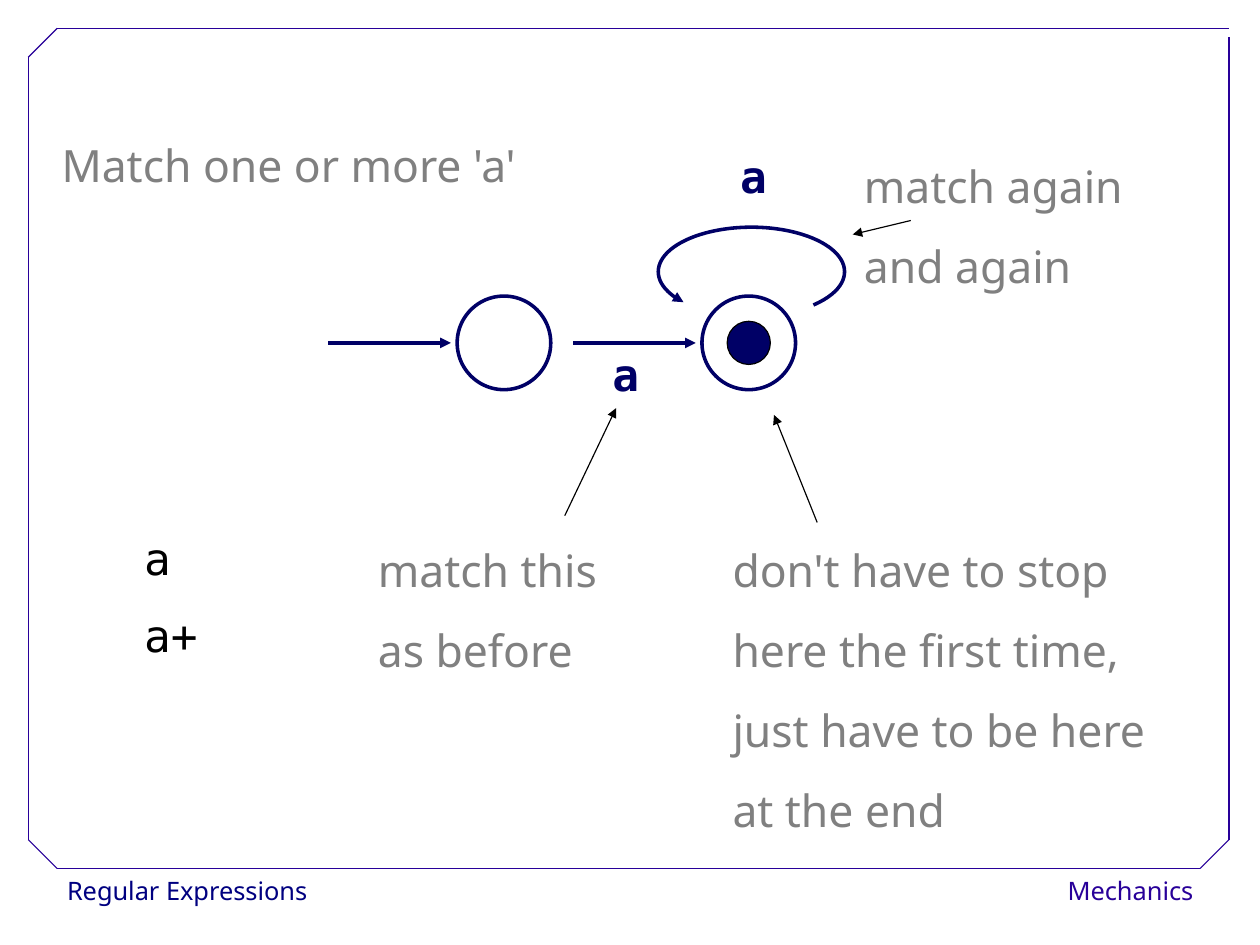
from lxml import etree
from pptx import Presentation
from pptx.dml.color import RGBColor
from pptx.enum import shapes as sh, text as tx
from pptx.oxml import ns
from pptx.util import Cm, Pt

SANS, MONO = "Noto Sans", "DejaVu Sans Mono"
NAVY, GREY, BLACK, WHITE = "000066", "808080", "000000", "FFFFFF"
VIOLET = "280099"


def paint(target, color):
    """Give a fill or a line's fill one solid colour."""
    target.solid()
    target.fore_color.rgb = RGBColor.from_string(color)


def style(para, size, face, color, gap, bold=False):
    para.line_spacing = gap
    font = para.font
    font.size, font.name, font.bold = Pt(size), face, bold
    font.color.rgb = RGBColor.from_string(color)


def write(slide, box, rows, size, face, color, gap, bold=False, right=False):
    """Add a text box with one paragraph per row."""
    label = slide.shapes.add_textbox(*map(Cm, box))
    frame = label.text_frame
    frame.word_wrap = True
    frame.text = "\n".join(rows)
    for para in frame.paragraphs:
        para.alignment = tx.PP_ALIGN.RIGHT if right else tx.PP_ALIGN.LEFT
        style(para, size, face, color, gap, bold)
    return label


def note(slide, box, *rows):
    write(slide, box, rows, 28, SANS, GREY, 1.5)


def mark(slide, left, top):
    """Label a transition with the letter it matches."""
    write(slide, (left, top, 1.09, 1.37), ["a"], 28, MONO, NAVY, 0.93, bold=True)


def footer(slide, left, width, words, color, right=False):
    box = write(slide, (left, 19.3, width, 1.02), [words], 16, SANS, color,
                1.02, right=right)
    paint(box.fill, WHITE)


def tip(shape, end):
    """Put a triangle on the headEnd or the tailEnd of a line."""
    line = shape.line._get_or_add_ln()
    etree.SubElement(line, ns.qn("a:" + end), type="triangle")


def link(slide, start, stop, color, width=0.75, arrow=True):
    line = slide.shapes.add_connector(
        sh.MSO_CONNECTOR.STRAIGHT, *map(Cm, start + stop))
    paint(line.line.fill, color)
    line.line.width = Pt(width)
    if arrow:
        tip(line, "tailEnd")
    etree.SubElement(line._element.spPr, ns.qn("a:effectLst"))


def outline(slide, kind, box, color, width):
    """Add an unfilled preset shape."""
    shape = slide.shapes.add_shape(kind, *map(Cm, box))
    shape.shadow.inherit = False
    shape.fill.background()
    paint(shape.line.fill, color)
    shape.line.width = Pt(width)
    return shape


def disc(slide, x, y, r, color=NAVY, width=2.25):
    box = (x - r, y - r, 2 * r, 2 * r)
    return outline(slide, sh.MSO_SHAPE.OVAL, box, color, width)


def loop(slide, box, start, stop):
    """Draw an arc between two angles in degrees, with its tip at the start."""
    arc = outline(slide, sh.MSO_SHAPE.ARC, box, NAVY, 2.25)
    for i, angle in enumerate((start, stop)):
        arc.adjustments[i] = angle * 0.6
    tip(arc, "headEnd")


def border(slide):
    left, right, top, low, cut = 0.63, 27.31, 0.63, 19.3, 0.64
    edges = [
        ((left + cut, low), (right - cut, low)),
        ((left, low - cut), (left, top + cut)),
        ((left + cut, top), (right, top)),
        ((right, low - cut), (right, 0.82)),
        ((left, top + cut), (left + cut, top)),
        ((right - cut, low), (right, low - cut)),
        ((left, low - cut), (left + cut, low)),
    ]
    for start, stop in edges:
        link(slide, start, stop, VIOLET, arrow=False)


def table(slide, box, rows):
    grid = slide.shapes.add_table(len(rows), 1, *map(Cm, box)).table
    grid.first_row = grid.horz_banding = False
    for i, words in enumerate(rows):
        cell = grid.cell(i, 0)
        cell.fill.background()
        cell.text = words
        para = cell.text_frame.paragraphs[0]
        para.space_after = Pt(14.2)
        style(para, 28, MONO, BLACK, 0.93)


def machine(slide):
    """Draw the states and the transitions between them."""
    first, last, mid = 11.2, 16.64, 7.62
    for x in (first, last):
        disc(slide, x, mid, 1.04)
        link(slide, (x - 3.9, mid), (x - 1.18, mid), NAVY, 2.25)
    dot = disc(slide, last, mid, 0.48, BLACK, 0.75)
    paint(dot.fill, NAVY)
    loop(slide, (14.63, 5.05, 4.14, 1.98), 155.8, 28.2)
    mark(slide, 13.36, 7.7)
    mark(slide, 16.2, 3.3)


def main():
    deck = Presentation()
    deck.slide_width, deck.slide_height = Cm(28), Cm(21)
    slide = deck.slides.add_slide(deck.slide_layouts[6])
    footer(slide, 1.24, 6.5, "Regular Expressions", "000080")
    footer(slide, 22.77, 4, "Mechanics", VIOLET, right=True)
    border(slide)
    machine(slide)
    note(slide, (1.12, 2.34, 13.2, 2.03), "Match one or more 'a'")
    note(slide, (16.03, 11.35, 11.9, 7.37), "don't have to stop",
         "here the first time,", "just have to be here", "at the end")
    note(slide, (8.15, 11.35, 7.9, 3.81), "match this", "as before")
    note(slide, (18.95, 2.82, 8.79, 3.81), "match again", "and again")
    link(slide, (18.16, 11.61), (17.2, 9.22), BLACK)
    link(slide, (12.55, 11.46), (13.69, 9.07), BLACK)
    link(slide, (20.24, 4.9), (18.95, 5.21), BLACK)
    table(slide, (2.95, 11.81, 1.8, 3.44), ["a", "a+"])
    deck.save("out.pptx")


if __name__ == "__main__":
    main()
